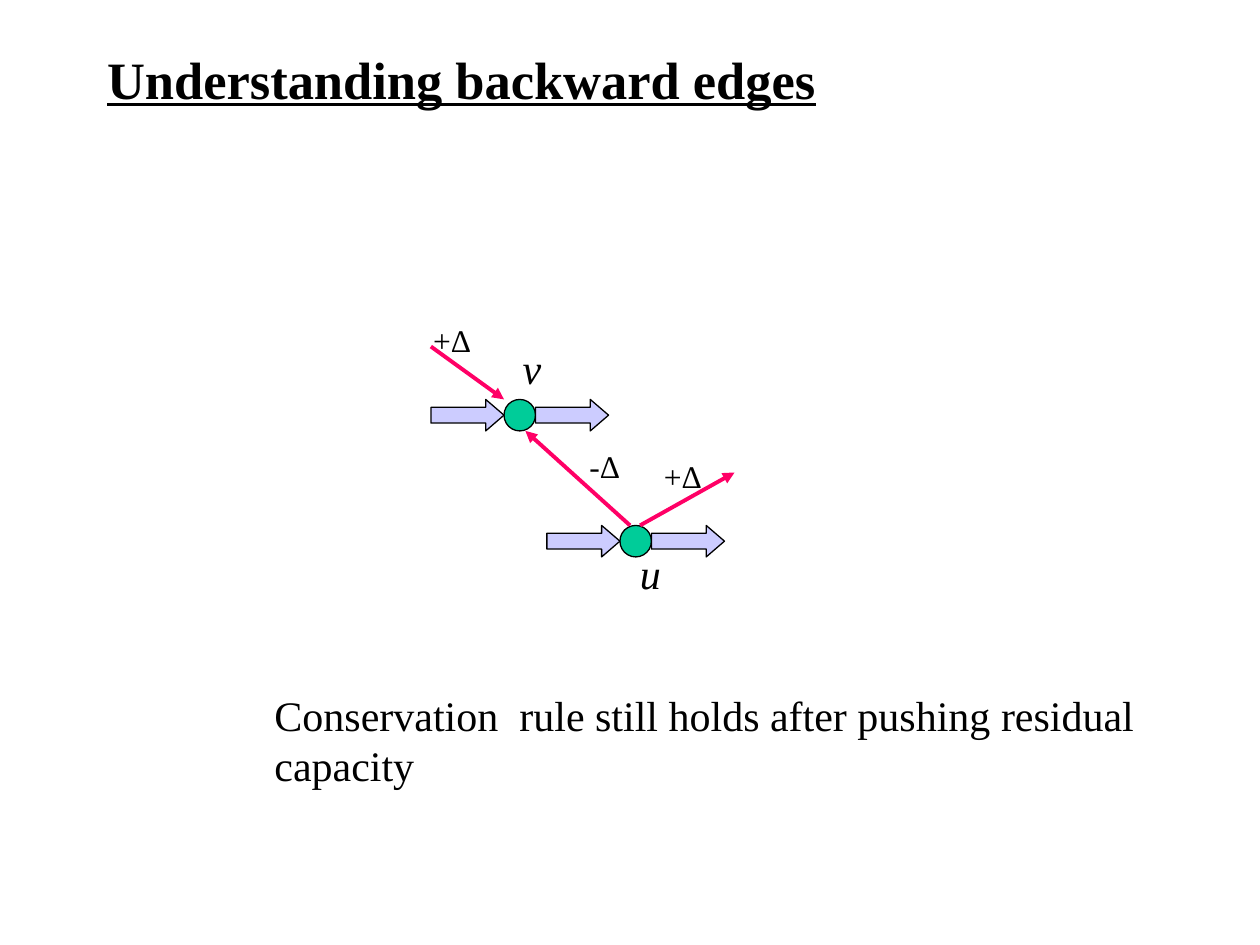
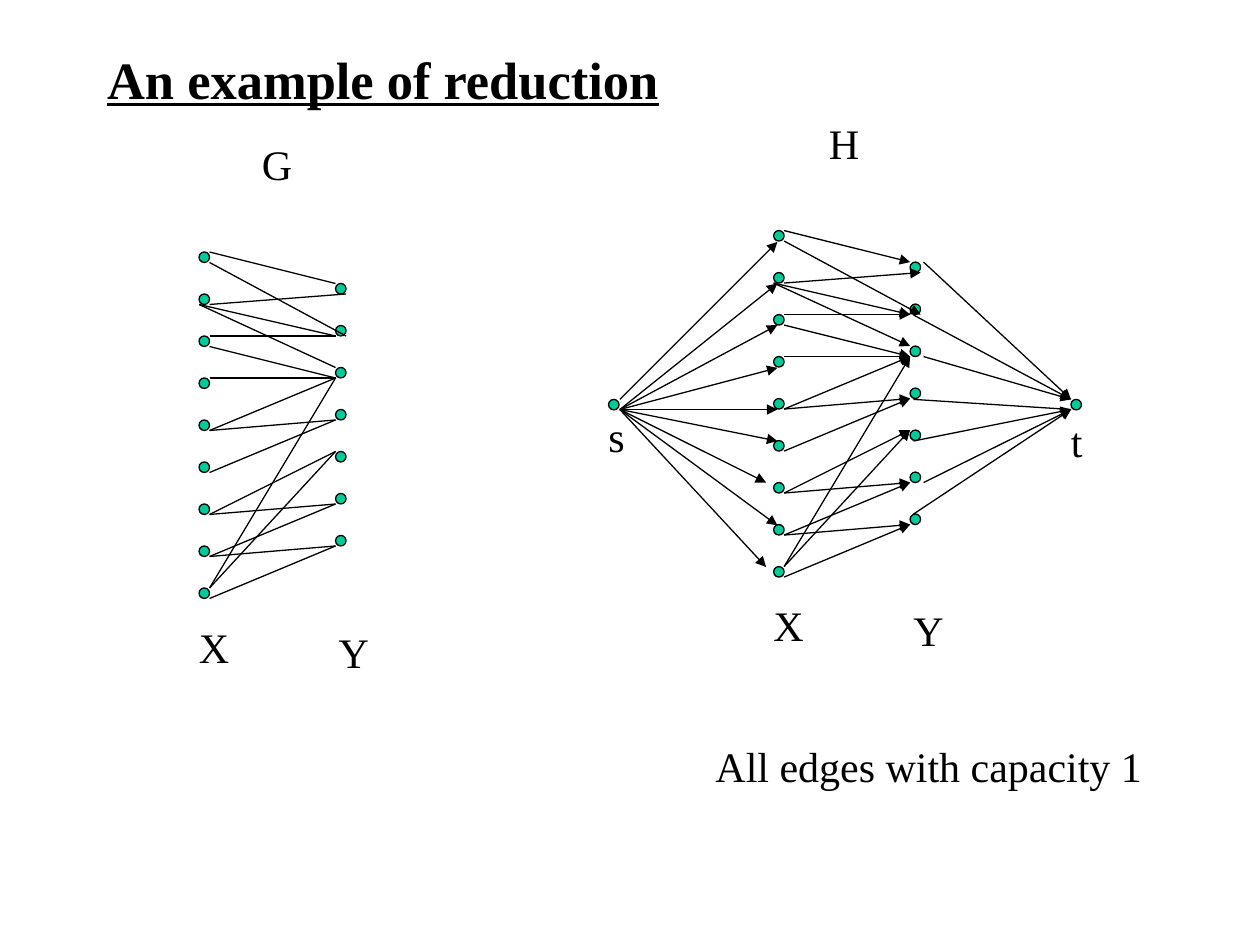
"""Build two slides on network flow: backward edges and a matching reduction."""
from lxml.etree import SubElement
from pptx import Presentation
from pptx.dml.color import RGBColor as Rgb
from pptx.enum.shapes import MSO_CONNECTOR as Link, MSO_SHAPE as Kind
from pptx.enum.text import MSO_ANCHOR as Anchor, MSO_AUTO_SIZE as Fit, PP_ALIGN as Align
from pptx.oxml.ns import qn
from pptx.util import Inches, Pt

COLORS = {"ink": "000000", "node": "00CC99", "flow": "CCCCFF", "push": "FF0066"}
FACE = "Times New Roman"
HEAD = {"name": FACE, "size": Pt(30), "bold": True, "underline": True}
BODY = {"name": FACE, "size": Pt(24), "bold": False}
SIGN = BODY | {"size": Pt(18)}
NAME = BODY | {"italic": True}

UNIT = 1 / 12
DOT = UNIT
EDGES = [
    (1, 0, 13, 3), (1, 1, 14, 8), (1, 5, 14, 4), (0, 5, 13, 8), (0, 5, 13, 11),
    (1, 8, 13, 8), (1, 9, 13, 12), (1, 12, 13, 12), (1, 17, 13, 12),
    (1, 17, 13, 16), (1, 21, 13, 16), (1, 25, 13, 19), (1, 25, 13, 24),
    (1, 29, 13, 24), (1, 33, 13, 28), (1, 29, 13, 28), (1, 32, 13, 12),
    (1, 32, 13, 19),
]
SOURCE = [
    (6.17, 1.92), (6.17, 2.25), (6.17, 2.58), (6.17, 2.92), (6.17, 3.25),
    (6.17, 3.5), (6.08, 3.83), (6.08, 4.5), (6.17, 4.17),
]
SINK = [
    (7.33, 2.08, 3.17, True), (7.25, 2.5, 3.17, True), (7.33, 2.83, 3.17, True),
    (7.25, 3.17, 3.25, False), (7.25, 3.5, 3.25, True), (7.33, 3.83, 3.25, True),
    (7.25, 4.08, 3.25, True),
]


def tint(key):
    """Return the named colour."""
    return Rgb.from_string(COLORS[key])


def write(frame, text, style):
    """Fill a text frame and style its paragraphs."""
    frame.text = text
    for para in frame.paragraphs:
        para.alignment = Align.LEFT
        para.font.color.rgb = tint("ink")
        for key, value in style.items():
            setattr(para.font, key, value)


def add_page(deck, title):
    """Add a title-only slide with its title."""
    page = deck.slides.add_slide(deck.slide_layouts[5])
    head = page.shapes.title
    place = {"left": 0.75, "top": 0.33, "width": 6.75, "height": 0.58}
    for key, value in place.items():
        setattr(head, key, Inches(value))
    write(head.text_frame, title, HEAD)
    head.text_frame.vertical_anchor = Anchor.MIDDLE
    head.text_frame.auto_size = Fit.NONE
    return page


def add_label(page, text, left, top, width=0.44, height=0.5, style=BODY):
    """Add a text label that does not wrap."""
    box = page.shapes.add_textbox(*map(Inches, (left, top, width, height)))
    write(box.text_frame, text, style)
    box.text_frame.word_wrap = False
    box.text_frame.auto_size = Fit.SHAPE_TO_FIT_TEXT


def add_form(page, kind, left, top, width, height, fill):
    """Add a filled shape with a thin outline."""
    form = page.shapes.add_shape(kind, *map(Inches, (left, top, width, height)))
    form.shadow.inherit = False
    form.fill.solid()
    form.fill.fore_color.rgb = tint(fill)
    form.line.color.rgb = tint("ink")
    form.line.width = Pt(0.75)
    return form


def add_node(page, left, top, size=DOT):
    """Add a round graph node."""
    add_form(page, Kind.OVAL, left, top, size, size, "node")


def add_edge(page, start, end, arrow=True, color="ink", width=0.75):
    """Add a straight edge, with an arrowhead if asked."""
    edge = page.shapes.add_connector(Link.STRAIGHT, *map(Inches, (*start, *end)))
    edge.line.color.rgb = tint(color)
    edge.line.width = Pt(width)
    if arrow:
        SubElement(edge.line._get_or_add_ln(), qn("a:tailEnd"), type="triangle")
    SubElement(edge._element.spPr, qn("a:effectLst"))


def add_hub(page, left, top):
    """Add a node with flow arrows going in and out."""
    add_node(page, left, top, 0.25)
    for side in (left - 0.58, left + 0.25):
        flow = add_form(page, Kind.RIGHT_ARROW, side, top, 0.58, 0.25, "flow")
        flow.adjustments[1] = 0.58


def add_graph(page, left, top, arrow):
    """Add the two-sided graph with its X and Y columns."""
    def spot(col, row):
        return left + col * UNIT, top + row * UNIT

    for col, first, count in ((0, 0, 9), (13, 3, 7)):
        for step in range(count):
            add_node(page, *spot(col, first + 4 * step))
    for *start, col, row in EDGES:
        add_edge(page, spot(*start), spot(col, row), arrow)
    add_label(page, "X", left - 0.1, top + 2.88)
    add_label(page, "Y", left + 1.01, top + 2.92)


def draw_push(deck):
    """Draw the slide on backward edges."""
    page = add_page(deck, "Understanding backward edges")
    for hub in ((4.92, 4.17), (4, 3.17)):
        add_hub(page, *hub)
    for start, end in (
        ((5, 4.17), (4.17, 3.42)),
        ((3.42, 2.75), (4, 3.17)),
        ((5.08, 4.17), (5.83, 3.75)),
    ):
        add_edge(page, start, end, color="push", width=2.25)
    add_label(page, "u", 4.98, 4.3, 0.36, style=NAME)
    add_label(page, "v", 4.05, 2.67, 0.35, style=NAME)
    for text, left, top, width in (
        ("+Δ", 3.34, 2.5, 0.5), ("-Δ", 4.58, 3.5, 0.45), ("+Δ", 5.17, 3.58, 0.5),
    ):
        add_label(page, text, left, top, width, 0.4, SIGN)
    rule = "Conservation  rule still holds after pushing residual\ncapacity"
    add_label(page, rule, 2.08, 5.42, 7.02, 0.9)


def draw_match(deck):
    """Draw the slide that turns a matching into a flow."""
    page = add_page(deck, "An example of reduction")
    add_graph(page, 1.58, 2, False)
    add_graph(page, 6.14, 1.83, True)
    for left in (4.83, 8.5):
        add_node(page, left, 3.17)
    for row, end in enumerate(SOURCE):
        add_edge(page, (4.92, 3.25 if row else 3.17), end)
    for left, top, goal, arrow in SINK:
        add_edge(page, (left, top), (8.5, goal), arrow)
    add_label(page, "G", 1.98, 1.05)
    add_label(page, "H", 6.48, 0.88)
    add_label(page, "s", 4.73, 3.21, 0.33)
    add_label(page, "t", 8.4, 3.25, 0.29)
    add_label(page, "All edges with capacity 1", 5.58, 5.83, 3.59)


def main():
    """Build and save the deck."""
    deck = Presentation()
    deck.slide_width, deck.slide_height = Inches(10), Inches(7.5)
    draw_push(deck)
    draw_match(deck)
    deck.save("out.pptx")


if __name__ == "__main__":
    main()
